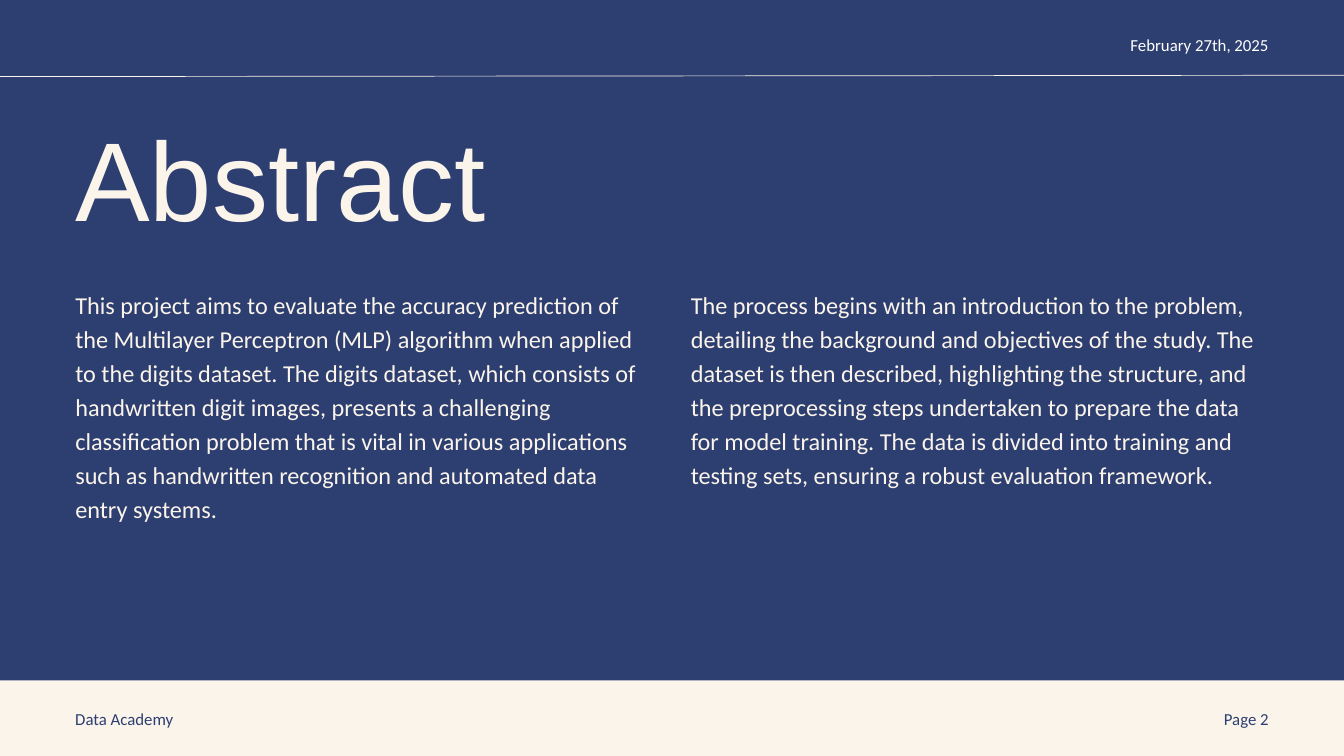
from dataclasses import dataclass

from lxml.etree import SubElement
from pptx import Presentation
from pptx.dml.color import RGBColor
from pptx.enum.shapes import MSO_CONNECTOR, MSO_SHAPE
from pptx.enum.text import MSO_ANCHOR, MSO_AUTO_SIZE, PP_ALIGN
from pptx.oxml.ns import qn
from pptx.util import Inches, Pt


@dataclass(frozen=True)
class Theme:
    navy: RGBColor = RGBColor(0x2D, 0x3E, 0x70)
    cream: RGBColor = RGBColor(0xFA, 0xF4, 0xEB)
    white: RGBColor = RGBColor(0xFF, 0xFF, 0xFF)
    title_font: str = "Arial"
    body_font: str = "Calibri"
    title_size: int = 120
    body_size: int = 26
    label_size: int = 18
    leading: float = 1.4


theme = Theme()
presentation = Presentation()
presentation.slide_width = Inches(20)
presentation.slide_height = Inches(11.25)
width, height = presentation.slide_width, presentation.slide_height
margin = Inches(1.12)
band = height // 10
label_width, label_height = Inches(5.13), Inches(0.34)
label_right = width - margin - label_width

slide = presentation.slides.add_slide(presentation.slide_layouts[5])
slide.background.fill.solid()
slide.background.fill.fore_color.rgb = theme.navy


def write_text(shape, text, font, size, color, alignment=PP_ALIGN.LEFT):
    frame = shape.text_frame
    frame.word_wrap = True
    frame.auto_size = MSO_AUTO_SIZE.SHAPE_TO_FIT_TEXT
    frame.vertical_anchor = MSO_ANCHOR.TOP
    frame.margin_left = frame.margin_right = 0
    frame.margin_top = frame.margin_bottom = 0
    paragraph = frame.paragraphs[0]
    paragraph.alignment = alignment
    paragraph.line_spacing = Pt(size * theme.leading)
    paragraph.space_before = Pt(0)
    run = paragraph.add_run()
    run.text = text
    run.font.name = font
    run.font.size = Pt(size)
    run.font.color.rgb = color


header_rule = slide.shapes.add_connector(
    MSO_CONNECTOR.STRAIGHT, 0, Inches(1.14), width, Inches(1.12)
)
header_rule.line.color.rgb = theme.cream
header_rule.line.width = Pt(0.75)
SubElement(header_rule.element.spPr, qn("a:effectLst"))

footer_band = slide.shapes.add_shape(MSO_SHAPE.RECTANGLE, 0, height - band, width, band)
footer_band.shadow.inherit = False
footer_band.fill.solid()
footer_band.fill.fore_color.rgb = theme.cream
footer_band.line.fill.background()

title = slide.shapes.title
title.left, title.top = margin, Inches(1.3)
title.width, title.height = Inches(12.62), Inches(2.38)
write_text(title, "Abstract", theme.title_font, theme.title_size, theme.cream)

columns = [
    (margin, Inches(8.49),
     "This project aims to evaluate the accuracy prediction of the Multilayer Perceptron (MLP) "
     "algorithm when applied to the digits dataset. The digits dataset, which consists of "
     "handwritten digit images, presents a challenging classification problem that is vital in "
     "various applications such as handwritten recognition and automated data entry systems."),
    (Inches(10.28), Inches(8.44),
     "The process begins with an introduction to the problem, detailing the background and "
     "objectives of the study. The dataset is then described, highlighting the structure, and "
     "the preprocessing steps undertaken to prepare the data for model training. The data is "
     "divided into training and testing sets, ensuring a robust evaluation framework."),
]
for left, column_width, text in columns:
    column = slide.shapes.add_textbox(left, Inches(4.25), column_width, Inches(4.48))
    write_text(column, text, theme.body_font, theme.body_size, theme.cream)

labels = [
    (label_right, Inches(0.47), "February 27th, 2025", theme.white, PP_ALIGN.RIGHT),
    (margin, Inches(10.5), "Data Academy", theme.navy, PP_ALIGN.LEFT),
    (label_right, Inches(10.5), "Page 2", theme.navy, PP_ALIGN.RIGHT),
]
for left, top, text, color, alignment in labels:
    label = slide.shapes.add_textbox(left, top, label_width, label_height)
    write_text(label, text, theme.body_font, theme.label_size, color, alignment)

presentation.save("out.pptx")
